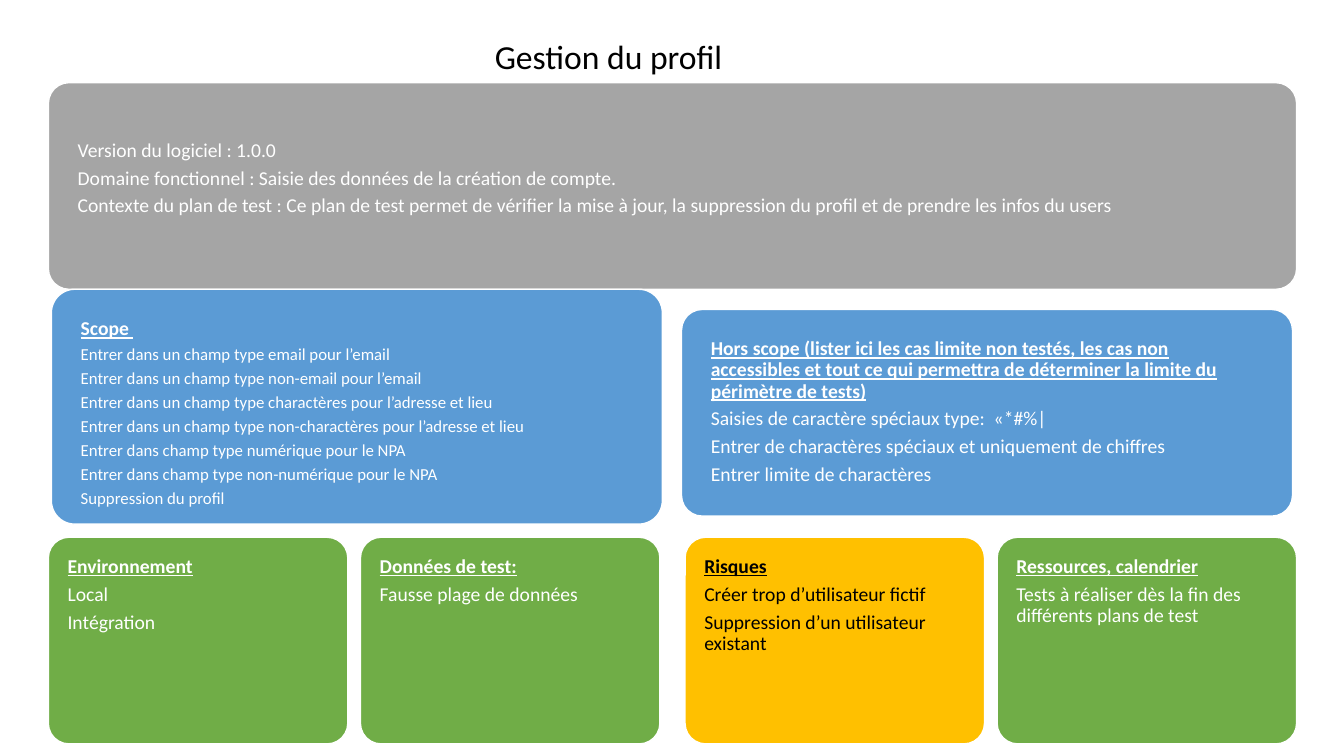
import pptx
import pptx.util
import pptx.dml.color
import pptx.enum.shapes
import pptx.enum.text

Inches, Pt = pptx.util.Inches, pptx.util.Pt

# Content
TITLE = "Gestion du profil"
CONTEXT = [
    "Version du logiciel : 1.0.0",
    "Domaine fonctionnel : Saisie des données de la création de compte.",
    "Contexte du plan de test : Ce plan de test permet de vérifier la mise à jour, "
    "la suppression du profil et de prendre les infos du users",
]
SCOPE = ("Scope ", [
    "Entrer dans un champ type email pour l’email",
    "Entrer dans un champ type non-email pour l’email",
    "Entrer dans un champ type charactères pour l’adresse et lieu",
    "Entrer dans un champ type non-charactères pour l’adresse et lieu",
    "Entrer dans champ type numérique pour le NPA",
    "Entrer dans champ type non-numérique pour le NPA",
    "Suppression du profil",
])
OUT_OF_SCOPE = (
    "Hors scope (lister ici les cas limite non testés, les cas non accessibles "
    "et tout ce qui permettra de déterminer la limite du périmètre de tests)", [
        "Saisies de caractère spéciaux type:  «*#%|",
        "Entrer de charactères spéciaux et uniquement de chiffres",
        "Entrer limite de charactères",
    ])
DETAILS = [
    ("Environnement", ["Local", "Intégration"], "green", "white"),
    ("Données de test:", ["Fausse plage de données"], "green", "white"),
    ("Risques", ["Créer trop d’utilisateur fictif",
                 "Suppression d’un utilisateur existant"], "amber", "black"),
    ("Ressources, calendrier",
     ["Tests à réaliser dès la fin des différents plans de test"], "green", "white"),
]

# Formats
COLORS = {"grey": "A5A5A5", "blue": "5B9BD5", "green": "70AD47",
          "amber": "FFC000", "white": "FFFFFF", "black": "000000"}
HEADING = {"size": Pt(14), "bold": True, "underline": True}
BODY = {"size": Pt(14), "bold": False, "underline": False}
SMALL_BODY = {**BODY, "size": Pt(12)}
TITLE_FONT = {**BODY, "size": Pt(24)}
CORNER = 0.1           # corner radius as a share of the shorter side
CORNER_INSET = 0.29    # share of the radius that the text area already loses

# Layout, in inches
LEFT, CARD_HEIGHT = 0.48, 2.05
DETAIL_TOP, DETAIL_WIDTH = 5.33, 2.97
DETAIL_PITCH, PAIR_PITCH = 3.095, 6.315


def rgb(name):
    return pptx.dml.color.RGBColor.from_string(COLORS[name])


def write(paragraph, text, font_format, color):
    paragraph.line_spacing = 0.9
    paragraph.space_after = Pt(round(font_format["size"].pt * 0.34, 1))
    font = paragraph.add_run().font
    paragraph.runs[0].text = text
    font.name = "Calibri"
    font.color.rgb = rgb(color)
    for attribute, value in font_format.items():
        setattr(font, attribute, value)


def add_card(slide, box, fill, color, lines, inset, extra_top=0):
    card = slide.shapes.add_shape(
        pptx.enum.shapes.MSO_SHAPE.ROUNDED_RECTANGLE, *map(Inches, box))
    card.adjustments[0] = CORNER
    card.shadow.inherit = False
    card.fill.solid()
    card.fill.fore_color.rgb = rgb(fill)
    card.line.color.rgb = rgb("white")
    card.line.width = Pt(1)

    margin = inset - CORNER_INSET * CORNER * min(box[2:])
    frame_format = {
        "word_wrap": True,
        "vertical_anchor": pptx.enum.text.MSO_ANCHOR.TOP,
        "margin_left": Inches(margin), "margin_right": Inches(margin),
        "margin_top": Inches(margin + extra_top), "margin_bottom": 0,
    }
    for attribute, value in frame_format.items():
        setattr(card.text_frame, attribute, value)
    for index, (text, font_format) in enumerate(lines):
        paragraph = (card.text_frame.add_paragraph() if index
                     else card.text_frame.paragraphs[0])
        paragraph.alignment = pptx.enum.text.PP_ALIGN.LEFT
        write(paragraph, text, font_format, color)


def with_heading(heading, items, body_format=BODY):
    return [(heading, HEADING)] + [(item, body_format) for item in items]


def main():
    deck = pptx.Presentation()
    deck.slide_width, deck.slide_height = Inches(13.33), Inches(7.5)
    slide = deck.slides.add_slide(deck.slide_layouts[5])

    # Title
    title = slide.shapes.title
    title.left, title.top, title.width, title.height = map(
        Inches, (2.7, 0.35, 6.67, 0.46))
    title.text_frame.auto_size = pptx.enum.text.MSO_AUTO_SIZE.NONE
    title.text_frame.vertical_anchor = pptx.enum.text.MSO_ANCHOR.MIDDLE
    heading = title.text_frame.paragraphs[0]
    heading.alignment = pptx.enum.text.PP_ALIGN.CENTER
    write(heading, TITLE, TITLE_FONT, "black")

    # Context banner: text starts one line lower
    add_card(slide, (LEFT, 0.82, 12.38, CARD_HEIGHT), "grey", "white",
             [(line, BODY) for line in CONTEXT], 0.29, extra_top=0.28)

    # Scope and out of scope
    add_card(slide, (0.51, 2.87, 6.06, 2.33), "blue", "white",
             with_heading(*SCOPE, SMALL_BODY), 0.29)
    add_card(slide, (6.76, 3.07, 6.06, CARD_HEIGHT), "blue", "white",
             with_heading(*OUT_OF_SCOPE), 0.29)

    # Four detail cards, in two pairs
    for index, (name, items, fill, color) in enumerate(DETAILS):
        pair, side = divmod(index, 2)
        left = LEFT + pair * PAIR_PITCH + side * DETAIL_PITCH
        add_card(slide, (left, DETAIL_TOP, DETAIL_WIDTH, CARD_HEIGHT),
                 fill, color, with_heading(name, items), 0.19)

    deck.save("out.pptx")


if __name__ == "__main__":
    main()
